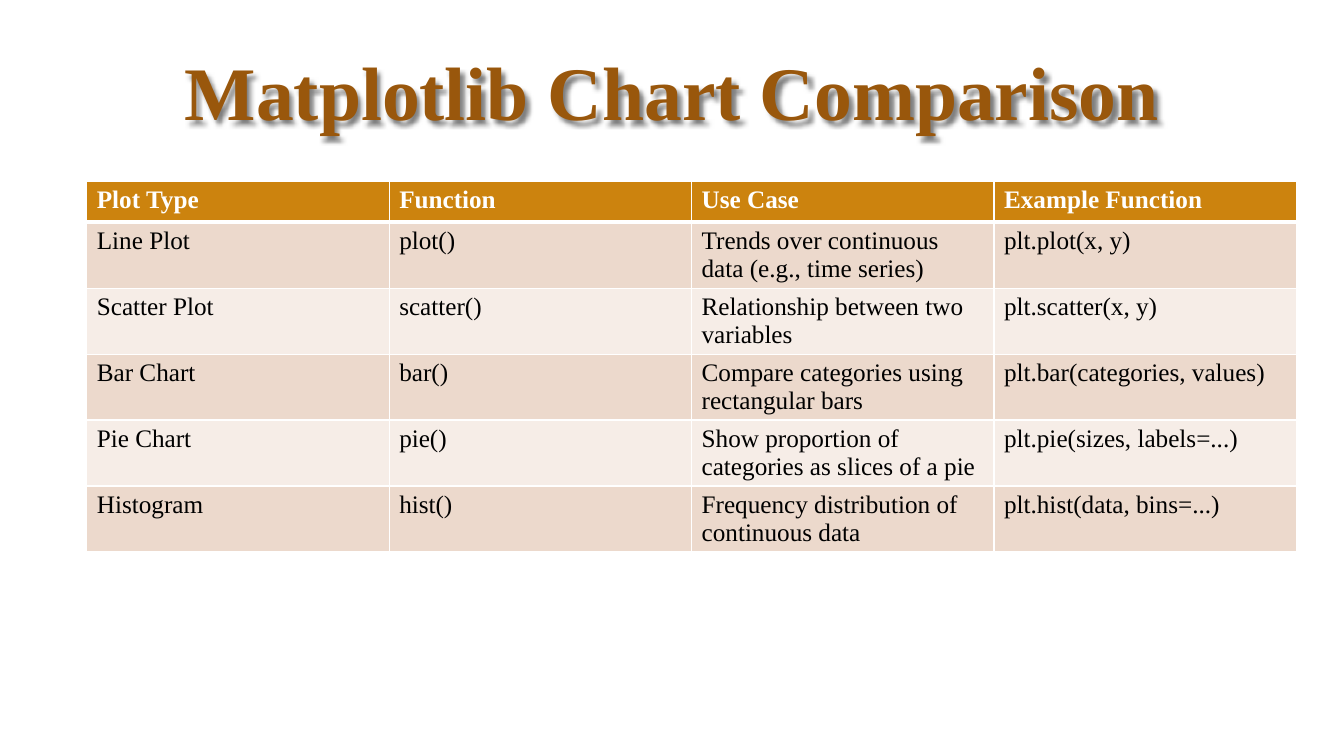
import pptx
import pptx.util
import pptx.dml.color
import pptx.enum.text
import pptx.oxml

Pt = pptx.util.Pt
RGBColor = pptx.dml.color.RGBColor

BROWN = RGBColor(0x99, 0x57, 0x0C)
ORANGE = RGBColor(0xCC, 0x83, 0x0E)
DARK_BAND = RGBColor(0xEC, 0xD9, 0xCC)
LIGHT_BAND = RGBColor(0xF6, 0xED, 0xE7)
GREY = RGBColor(0x40, 0x40, 0x40)
WHITE = RGBColor(0xFF, 0xFF, 0xFF)
BLACK = RGBColor(0, 0, 0)

NS = 'xmlns:a="http://schemas.openxmlformats.org/drawingml/2006/main"'

ROWS = [
    ("Plot Type", "Function", "Use Case", "Example Function"),
    ("Line Plot", "plot()", "Trends over continuous data (e.g., time series)", "plt.plot(x, y)"),
    ("Scatter Plot", "scatter()", "Relationship between two variables", "plt.scatter(x, y)"),
    ("Bar Chart", "bar()", "Compare categories using rectangular bars", "plt.bar(categories, values)"),
    ("Pie Chart", "pie()", "Show proportion of categories as slices of a pie", "plt.pie(sizes, labels=...)"),
    ("Histogram", "hist()", "Frequency distribution of continuous data", "plt.hist(data, bins=...)"),
]


class SlideBuilder:
    font_name = "Times New Roman"

    def __init__(self, prs):
        self.slide = prs.slides.add_slide(prs.slide_layouts[5])

    def style(self, p, size, color, bold):
        p.font.name = self.font_name
        p.font.size = Pt(size)
        p.font.bold = bold
        p.font.color.rgb = color

    def line(self, tag, color, width, alpha=100):
        return pptx.oxml.parse_xml(
            f'<a:{tag} {NS} w="{Pt(width)}"><a:solidFill><a:srgbClr val="{color}">'
            f'<a:alpha val="{alpha * 1000}"/></a:srgbClr></a:solidFill>'
            f'<a:prstDash val="solid"/></a:{tag}>')

    def title(self, text, left, top, width, height):
        sp = self.slide.shapes.title
        sp.left, sp.top, sp.width, sp.height = Pt(left), Pt(top), Pt(width), Pt(height)
        tf = sp.text_frame
        tf.word_wrap = True
        tf.auto_size = pptx.enum.text.MSO_AUTO_SIZE.NONE
        tf.vertical_anchor = pptx.enum.text.MSO_ANCHOR.BOTTOM
        p = tf.paragraphs[0]
        p.alignment = pptx.enum.text.PP_ALIGN.CENTER
        p.line_spacing = 0.9
        self.style(p, 54, BROWN, True)
        r = p.add_run()
        r.text = text
        r._r.get_or_add_rPr().insert(0, self.line("ln", GREY, 0.75, 10))
        sp._element.spPr.append(pptx.oxml.parse_xml(
            f'<a:effectLst {NS}><a:outerShdw blurRad="{Pt(3)}" dist="{Pt(3)}" dir="3000000" '
            f'algn="tl" rotWithShape="0"><a:srgbClr val="{BLACK}"><a:alpha val="50000"/>'
            '</a:srgbClr></a:outerShdw></a:effectLst>'))

    def cell(self, cell, text, fill, color, bold, bottom):
        cell.fill.solid()
        cell.fill.fore_color.rgb = fill
        p = cell.text_frame.paragraphs[0]
        p.text = text
        self.style(p, 18, color, bold)
        tcPr = cell._tc.get_or_add_tcPr()
        for i, (tag, width) in enumerate((("lnL", 1), ("lnR", 1), ("lnT", 1), ("lnB", bottom))):
            tcPr.insert(i, self.line(tag, WHITE, width))

    def table(self, rows, left, top, width, row_height):
        frame = self.slide.shapes.add_table(
            len(rows), len(rows[0]), Pt(left), Pt(top), Pt(width), Pt(row_height * len(rows)))
        table = frame.table
        table.horz_banding = False
        for i, row in enumerate(rows):
            table.rows[i].height = Pt(row_height)
            header = i == 0
            fill = ORANGE if header else DARK_BAND if i % 2 else LIGHT_BAND
            for j, text in enumerate(row):
                self.cell(table.cell(i, j), text, fill, WHITE if header else BLACK,
                          header, 3 if header else 1)
            if i == 1:
                for c in table.rows[i].cells:
                    c._tc.tcPr.find(pptx.oxml.ns.qn("a:lnT")).set("w", str(Pt(3)))


def main():
    prs = pptx.Presentation()
    prs.slide_width, prs.slide_height = Pt(960), Pt(540)
    s = SlideBuilder(prs)
    s.title("Matplotlib Chart Comparison", 0, 8, 960, 93.5)
    s.table(ROWS, 62, 129.6, 864, 29.2)
    prs.save("out.pptx")


if __name__ == "__main__":
    main()
